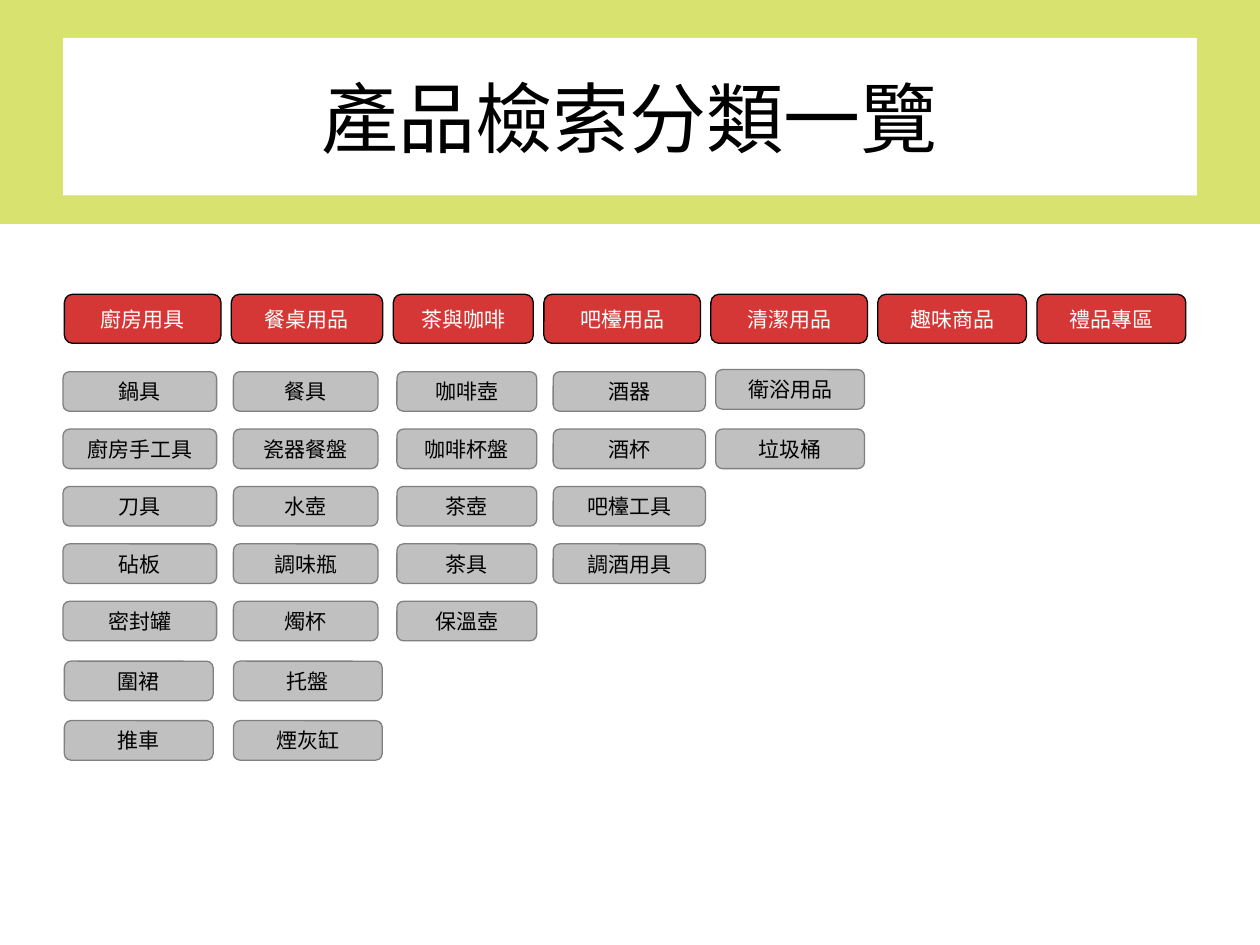
from lxml import etree
from pptx import Presentation
from pptx.dml.color import RGBColor
from pptx.enum import shapes, text
from pptx.oxml.ns import qn
from pptx.util import Pt


def color(hex_string):
    return RGBColor.from_string(hex_string)


def add_button(label, left, top, width, height, fill, line, font_color):
    button = slide.shapes.add_shape(
        shapes.MSO_SHAPE.ROUNDED_RECTANGLE, Pt(left), Pt(top), Pt(width), Pt(height))
    button.shadow.inherit = False
    button.fill.solid()
    button.fill.fore_color.rgb = color(fill)
    button.line.color.rgb = color(line)
    button.line.width = Pt(0.75)
    frame = button.text_frame
    frame.margin_left = frame.margin_right = frame.margin_top = frame.margin_bottom = 0
    frame.word_wrap = False
    frame.vertical_anchor = text.MSO_ANCHOR.MIDDLE
    frame.text = label
    paragraph = frame.paragraphs[0]
    paragraph.alignment = text.PP_ALIGN.CENTER
    font = paragraph.runs[0].font
    font.name = "Arial"
    font.size = Pt(12)
    font.color.rgb = color(font_color)


presentation = Presentation()
presentation.slide_width = Pt(720)
presentation.slide_height = Pt(540)
slide = presentation.slides.add_slide(presentation.slide_layouts[5])

# Title on a coloured band
title = slide.shapes.title
title.left, title.top, title.width, title.height = Pt(36), Pt(21.6), Pt(648), Pt(90)
title.fill.solid()
title.fill.fore_color.rgb = color("FFFFFF")
title.text_frame.text = "產品檢索分類一覽"
title.text_frame.auto_size = text.MSO_AUTO_SIZE.NONE
title.text_frame.vertical_anchor = text.MSO_ANCHOR.MIDDLE
title_paragraph = title.text_frame.paragraphs[0]
title_paragraph.alignment = text.PP_ALIGN.CENTER
title_font = title_paragraph.runs[0].font
title_font.size = Pt(44)
title_font.color.rgb = color("000000")
title_font.name = "Noto Sans CJK SC"
east_asian = etree.SubElement(title_paragraph.runs[0]._r.rPr, qn("a:ea"))
east_asian.set("typeface", "Noto Sans CJK SC")

band = slide.shapes.add_shape(shapes.MSO_SHAPE.RECTANGLE, 0, 0, Pt(720), Pt(128))
band.shadow.inherit = False
band.fill.solid()
band.fill.fore_color.rgb = color("D8E36F")
band.line.fill.background()
title._element.addprevious(band._element)

# Category: name, left, width
categories = [
    ("廚房用具", 36.8, 89.5),
    ("餐桌用品", 132.2, 86.5),
    ("茶與咖啡", 224.8, 80),
    ("吧檯用品", 310.8, 89.5),
    ("清潔用品", 406.2, 89.5),
    ("趣味商品", 501.6, 85),
    ("禮品專區", 592.6, 85),
]
for name, left, width in categories:
    add_button(name, left, 168.2, width, 28, "D53737", "000000", "FFFFFF")

# Products: left, width, first top, row pitch, names
product_groups = [
    (36, 87.8, 212.4, 32.8, ["鍋具", "廚房手工具", "刀具", "砧板", "密封罐"]),
    (133.4, 82.6, 212.4, 32.8, ["餐具", "瓷器餐盤", "水壺", "調味瓶", "燭杯"]),
    (226.8, 79.9, 212.4, 32.8, ["咖啡壺", "咖啡杯盤", "茶壺", "茶具", "保溫壺"]),
    (316.1, 87, 212.4, 32.8, ["酒器", "酒杯", "吧檯工具", "調酒用具"]),
    (409, 85, 211.2, 34, ["衛浴用品", "垃圾桶"]),
    (36.8, 85, 377.8, 34, ["圍裙", "推車"]),
    (133.4, 85, 377.8, 34, ["托盤", "煙灰缸"]),
]
for left, width, first_top, pitch, names in product_groups:
    for row, name in enumerate(names):
        add_button(name, left, first_top + row * pitch, width, 22.6,
                   "C0C0C0", "808080", "000000")

presentation.save("out.pptx")
